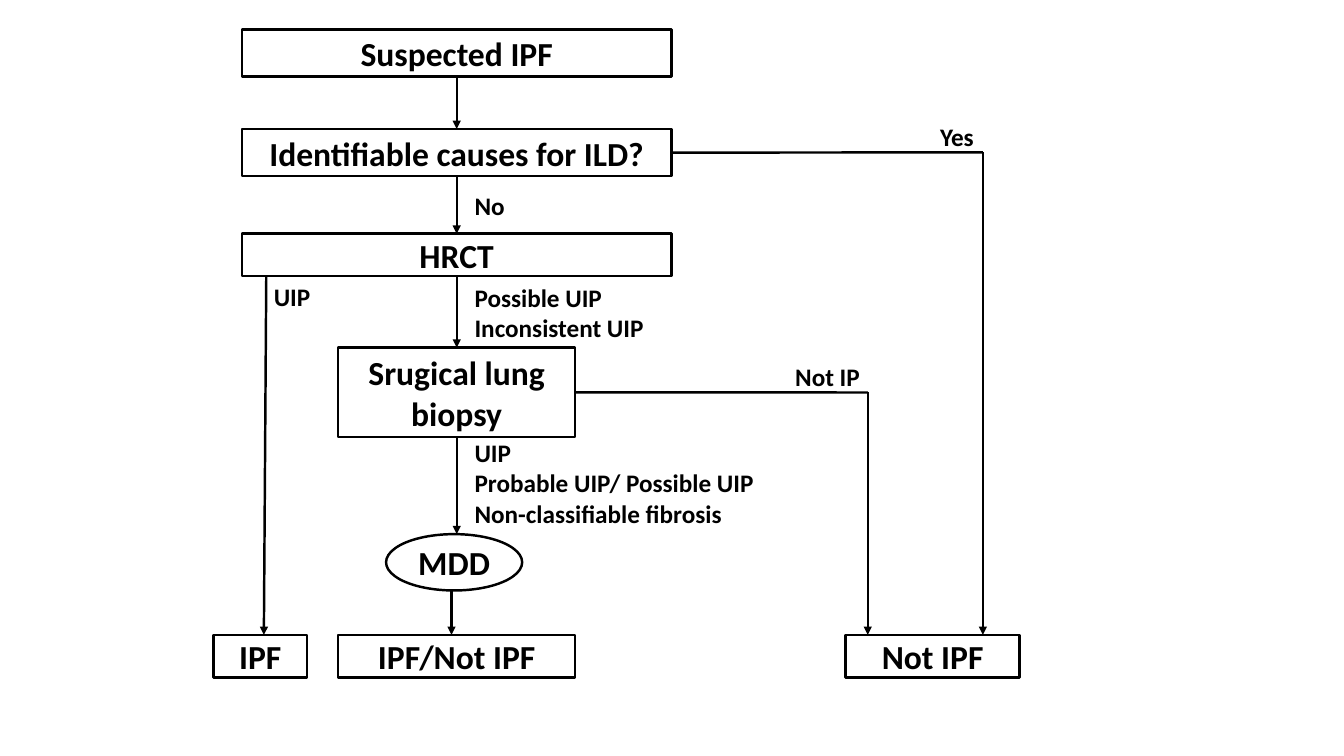
from dataclasses import dataclass

from lxml.etree import SubElement
from pptx import Presentation
from pptx.dml.color import RGBColor
from pptx.enum.shapes import MSO_CONNECTOR, MSO_SHAPE
from pptx.enum.text import MSO_ANCHOR, MSO_AUTO_SIZE, PP_ALIGN
from pptx.oxml.ns import qn
from pptx.util import Cm, Pt


@dataclass(frozen=True)
class Theme:
    font: str = "Calibri"
    ink: RGBColor = RGBColor(0, 0, 0)
    step_size: Pt = Pt(24)
    answer_size: Pt = Pt(18)
    stroke: Pt = Pt(1.75)


THEME = Theme()
TOP, RIGHT, BOTTOM = 0, 3, 2  # connection sites


def style(paragraph, size):
    font = paragraph.font
    font.name, font.size, font.bold = THEME.font, size, True
    font.color.rgb = THEME.ink


def add_step(slide, box, text, kind=MSO_SHAPE.RECTANGLE):
    """Outlined step of the flow with centred text."""
    step = slide.shapes.add_shape(kind, *map(Cm, box))
    step.shadow.inherit = False
    step.fill.background()
    step.line.color.rgb = THEME.ink
    step.line.width = THEME.stroke
    frame = step.text_frame
    frame.word_wrap = True
    frame.vertical_anchor = MSO_ANCHOR.MIDDLE
    frame.text = text
    frame.paragraphs[0].alignment = PP_ALIGN.CENTER
    style(frame.paragraphs[0], THEME.step_size)
    return step


def add_answer(slide, box, text):
    """Answer beside an arrow, one paragraph per line."""
    frame = slide.shapes.add_textbox(*map(Cm, box)).text_frame
    frame.word_wrap = True
    frame.auto_size = MSO_AUTO_SIZE.SHAPE_TO_FIT_TEXT
    frame.text = text
    for paragraph in frame.paragraphs:
        style(paragraph, THEME.answer_size)


def add_path(slide, start, end, start_join=None, end_join=None, arrow=True):
    """Line between two points, joined to a (step, site) where given."""
    path = slide.shapes.add_connector(
        MSO_CONNECTOR.STRAIGHT, *map(Cm, (*start, *end)))
    if start_join:
        path.begin_connect(*start_join)
    if end_join:
        path.end_connect(*end_join)
    path.line.color.rgb = THEME.ink
    path.line.width = THEME.stroke
    if arrow:
        SubElement(path.line._get_or_add_ln(), qn("a:tailEnd"), type="triangle")
    SubElement(path._element.spPr, qn("a:effectLst"))


def add_diagnosis_flow(slide, left, top, width, height):
    """Diagnostic flow chart; offsets are in cm from the box's corner."""
    def at(x, y):
        return left + x, top + y

    def box(x, y, w, h):
        return (*at(x, y), w, h)

    spine, wide, narrow = 6.13, 10.82, 5.97
    wide_x, narrow_x = spine - wide / 2, spine - narrow / 2
    result_h = 1.07
    result_y = height - result_h

    # Steps
    suspected = add_step(slide, box(wide_x, 0, wide, 1.19), "Suspected IPF")
    causes = add_step(slide, box(wide_x, 2.51, wide, 1.19),
                      "Identifiable causes for ILD?")
    hrct = add_step(slide, box(wide_x, 5.15, wide, 1.07), "HRCT")
    biopsy = add_step(slide, box(narrow_x, 8.02, narrow, 2.26),
                      "Srugical lung biopsy")
    add_step(slide, box(4.35, 12.72, 3.43, 1.42), "MDD", MSO_SHAPE.OVAL)

    # Results along the bottom
    for x, w, result in ((0, 2.36, "IPF"), (narrow_x, narrow, "IPF/Not IPF"),
                         (width - 4.39, 4.39, "Not IPF")):
        add_step(slide, box(x, result_y, w, result_h), result)

    # Main path downwards
    for upper, lower in ((suspected, causes), (causes, hrct), (hrct, biopsy)):
        add_path(slide, at(spine, 0), at(spine, 0),
                 (upper, BOTTOM), (lower, TOP))
    add_path(slide, at(spine, 10.28), at(spine, 12.72), (biopsy, BOTTOM))
    add_path(slide, at(6, 14.14), at(6, result_y))

    # Direct path from HRCT to IPF
    add_path(slide, at(1.33, 6.22), at(1.27, result_y))

    # Side paths to Not IPF
    for step, x, y in ((biopsy, 16.49, 9.15), (causes, 19.39, 3.1)):
        add_path(slide, at(spine, y), at(x, y), (step, RIGHT), arrow=False)
        add_path(slide, at(x, y), at(x, result_y))

    # Answers
    beside = spine + 0.2
    for x, y, w, h, answer in (
        (beside, 3.93, 5.59, 1.02, "No"),
        (beside, 6.25, 5.59, 1.8, "Possible UIP\nInconsistent UIP"),
        (beside, 10.16, 7.77, 2.57,
         "UIP\nProbable UIP/ Possible UIP\nNon-classifiable fibrosis"),
        (1.27, 6.22, 5.59, 1.02, "UIP"),
        (14.41, 8.23, 2.69, 1.02, "Not IP"),
        (18.06, 2.18, 2.69, 1.02, "Yes"),
    ):
        add_answer(slide, box(x, y, w, h), answer)


def main():
    deck = Presentation()
    deck.slide_width, deck.slide_height = Cm(33.87), Cm(19.05)
    slide = deck.slides.add_slide(deck.slide_layouts[6])
    add_diagnosis_flow(slide, left=5.38, top=0.74, width=20.32, height=16.33)
    deck.save("out.pptx")


if __name__ == "__main__":
    main()
